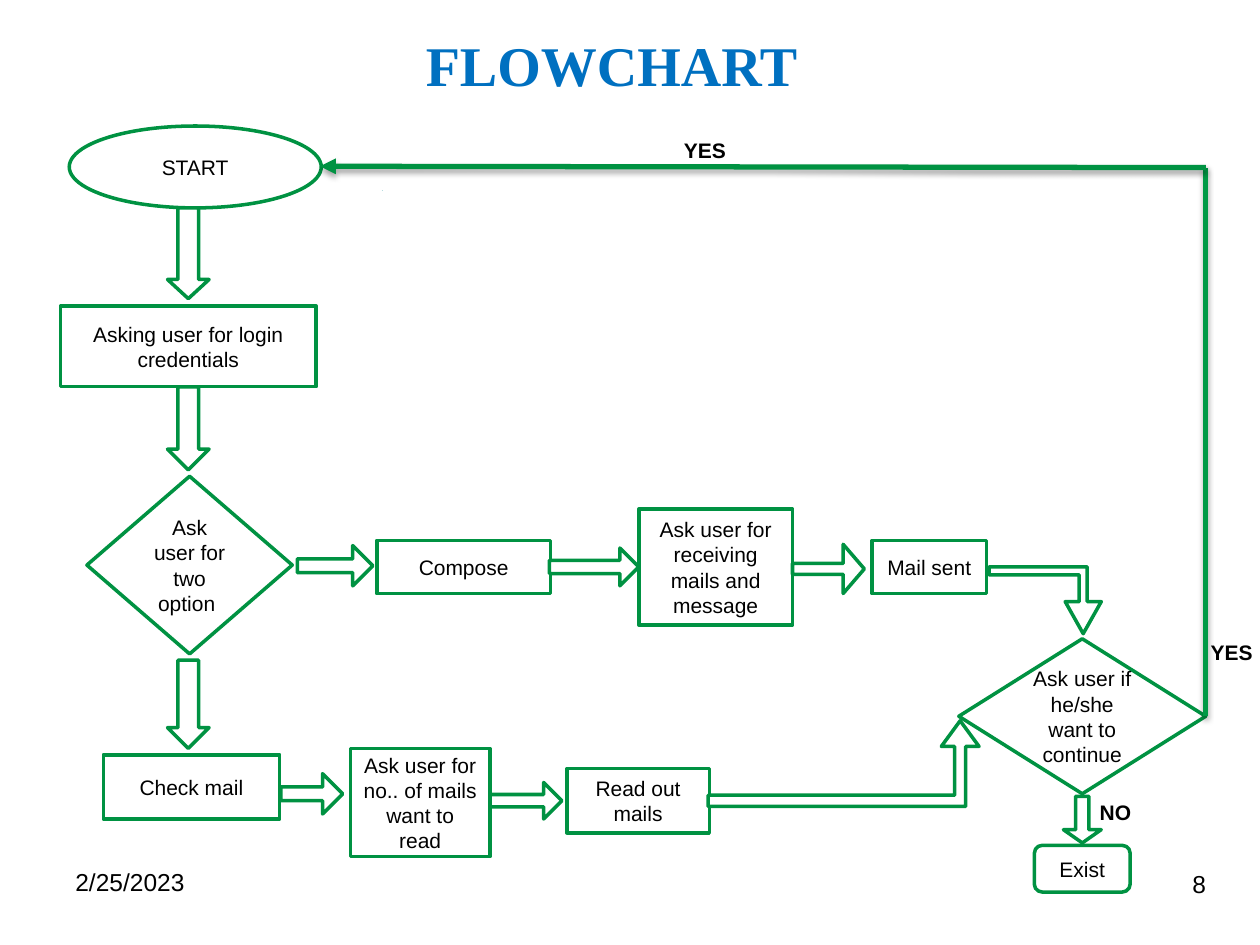
from lxml.etree import SubElement
from pptx import Presentation
from pptx.dml.color import RGBColor
from pptx.enum.shapes import MSO_CONNECTOR, MSO_SHAPE
from pptx.enum.text import MSO_ANCHOR, MSO_AUTO_SIZE, PP_ALIGN
from pptx.oxml.ns import qn
from pptx.util import Emu, Inches, Pt

COLORS = {"title": "0070C0", "text": "000000", "fill": "FFFFFF",
          "outline": "009242", "return": "009A46", "mark": "B6DCDF"}

TITLE = ("FLOWCHART", (0.23, 0.19, 9.25, 0.64))

# preset shape, text, (left, top, width, height)
STEPS = {
    "start": (MSO_SHAPE.OVAL, "START", (0.55, 1, 2, 0.65)),
    "login": (MSO_SHAPE.RECTANGLE, "Asking user for login credentials", (0.48, 2.43, 2.03, 0.64)),
    "option": (MSO_SHAPE.DIAMOND, "Ask user for two option ", (0.69, 3.78, 1.63, 1.41)),
    "check": (MSO_SHAPE.FLOWCHART_PROCESS, "Check mail", (0.82, 5.99, 1.4, 0.51)),
    "compose": (MSO_SHAPE.FLOWCHART_PROCESS, "Compose", (2.99, 4.29, 1.38, 0.42)),
    "receive": (MSO_SHAPE.FLOWCHART_PROCESS, "Ask user for receiving mails and message",
                (5.07, 4.04, 1.22, 0.92)),
    "sent": (MSO_SHAPE.FLOWCHART_PROCESS, "Mail sent", (6.92, 4.29, 0.91, 0.42)),
    "count": (MSO_SHAPE.RECTANGLE, "Ask user for no.. of mails want to read",
              (2.78, 5.94, 1.11, 0.86)),
    "read": (MSO_SHAPE.RECTANGLE, "Read out mails", (4.5, 6.1, 1.13, 0.51)),
    "continue": (MSO_SHAPE.DIAMOND, "Ask user if he/she want to continue",
                 (7.61, 5.07, 1.96, 1.23)),
    "exit": (MSO_SHAPE.ROUNDED_RECTANGLE, "Exist", (8.21, 6.71, 0.76, 0.37)),
}

# preset shape, (left, top, width, height), adjustments, flipped upside down
ARROWS = [
    (MSO_SHAPE.DOWN_ARROW, (1.33, 1.65, 0.33, 0.72), (0.5, 0.46), False),
    (MSO_SHAPE.DOWN_ARROW, (1.33, 3.07, 0.33, 0.66), (0.5, 0.5), False),
    (MSO_SHAPE.DOWN_ARROW, (1.33, 5.24, 0.33, 0.7), (0.5, 0.5), False),
    (MSO_SHAPE.RIGHT_ARROW, (2.36, 4.33, 0.6, 0.32), (0.34, 0.5), False),
    (MSO_SHAPE.RIGHT_ARROW, (4.36, 4.35, 0.71, 0.3), (0.35, 0.5), False),
    (MSO_SHAPE.RIGHT_ARROW, (6.29, 4.32, 0.57, 0.39), (0.22, 0.43), False),
    (MSO_SHAPE.RIGHT_ARROW, (2.23, 6.14, 0.49, 0.32), (0.34, 0.5), False),
    (MSO_SHAPE.RIGHT_ARROW, (3.89, 6.21, 0.57, 0.29), (0.34, 0.5), False),
    (MSO_SHAPE.BENT_UP_ARROW, (7.85, 4.5, 0.89, 0.53), (0.12, 0.27, 0.48), True),
    (MSO_SHAPE.DOWN_ARROW, (8.44, 6.32, 0.3, 0.37), (0.35, 0.35), False),
    (MSO_SHAPE.BENT_UP_ARROW, (5.62, 5.72, 2.15, 0.68), (0.13, 0.22, 0.3), False),
]

# text, (left, top, width, height), font format, alignment
BRANCH = {"size": Pt(12), "bold": True}
FOOTER = {"size": Pt(14)}
LABELS = [
    ("NO", (8.63, 6.3, 0.67, 0.3), BRANCH, PP_ALIGN.LEFT),
    ("YES", (5.33, 1.04, 1.22, 0.3), BRANCH, PP_ALIGN.LEFT),
    ("YES", (9.51, 5.03, 0.59, 0.3), BRANCH, PP_ALIGN.LEFT),
    ("2/25/2023", (0.5, 6.83, 2.33, 0.52), FOOTER, PP_ALIGN.LEFT),
    ("8", (9.29, 6.85, 0.38, 0.5), FOOTER, PP_ALIGN.RIGHT),
]


def inches(values):
    return [Inches(value) for value in values]


def rgb(name):
    return RGBColor.from_string(COLORS[name])


def write(frame, text, font, align=PP_ALIGN.CENTER, color="text"):
    frame.word_wrap = True
    paragraph = frame.paragraphs[0]
    paragraph.alignment = align
    run = paragraph.add_run()
    run.text = text
    for attribute, value in {"name": "Arial", **font}.items():
        setattr(run.font, attribute, value)
    run.font.color.rgb = rgb(color)


def add_outlined(shapes, preset, box):
    shape = shapes.add_shape(preset, *inches(box))
    shape.shadow.inherit = False
    shape.fill.solid()
    shape.fill.fore_color.rgb = rgb("fill")
    shape.line.color.rgb = rgb("outline")
    shape.line.width = Pt(2)
    return shape


def add_line(shapes, start, end, color, width, kind=MSO_CONNECTOR.STRAIGHT, shadow=True):
    line = shapes.add_connector(kind, *inches(start + end))
    line.line.color.rgb = rgb(color)
    line.line.width = Pt(width)
    effects = SubElement(line._element.spPr, qn("a:effectLst"))
    if shadow:
        outer = SubElement(effects, qn("a:outerShdw"), blurRad=str(Pt(3.1)), dist=str(Pt(1.8)),
                           dir="5400000", rotWithShape="0")
        black = SubElement(outer, qn("a:srgbClr"), val=COLORS["text"])
        SubElement(black, qn("a:alpha"), val="35000")
    return line


def main():
    deck = Presentation()
    deck.slide_width, deck.slide_height = Inches(10), Inches(7.5)
    slide = deck.slides.add_slide(deck.slide_layouts[5])
    shapes = slide.shapes

    text, box = TITLE
    title = shapes.title
    title.left, title.top, title.width, title.height = inches(box)
    title.text_frame.vertical_anchor = MSO_ANCHOR.MIDDLE
    write(title.text_frame, text, {"name": "Times New Roman", "size": Pt(32), "bold": True},
          color="title")

    steps = {}
    for key, (preset, text, box) in STEPS.items():
        steps[key] = add_outlined(shapes, preset, box)
        steps[key].text_frame.vertical_anchor = MSO_ANCHOR.MIDDLE
        write(steps[key].text_frame, text, {"size": Pt(12)})

    for preset, box, adjustments, flipped in ARROWS:
        arrow = add_outlined(shapes, preset, box)
        for index, value in enumerate(adjustments):
            arrow.adjustments[index] = value
        if flipped:
            arrow._element.spPr.find(qn("a:xfrm")).set("flipV", "1")

    add_line(shapes, (3.03, 1.51), (3.04, 1.51), "mark", 0.75, MSO_CONNECTOR.ELBOW, False)

    corner = (9.57, 1.33)
    rise = add_line(shapes, (9.57, 5.69), corner, "return", 3)
    rise.begin_connect(steps["continue"], 3)
    back = add_line(shapes, corner, (2.54, 1.32), "outline", 3)
    SubElement(back.line._get_or_add_ln(), qn("a:tailEnd"), type="triangle")

    for text, box, font, align in LABELS:
        label = shapes.add_textbox(*inches(box))
        label.text_frame.auto_size = MSO_AUTO_SIZE.NONE
        write(label.text_frame, text, font, align)

    deck.save("out.pptx")


if __name__ == "__main__":
    main()
